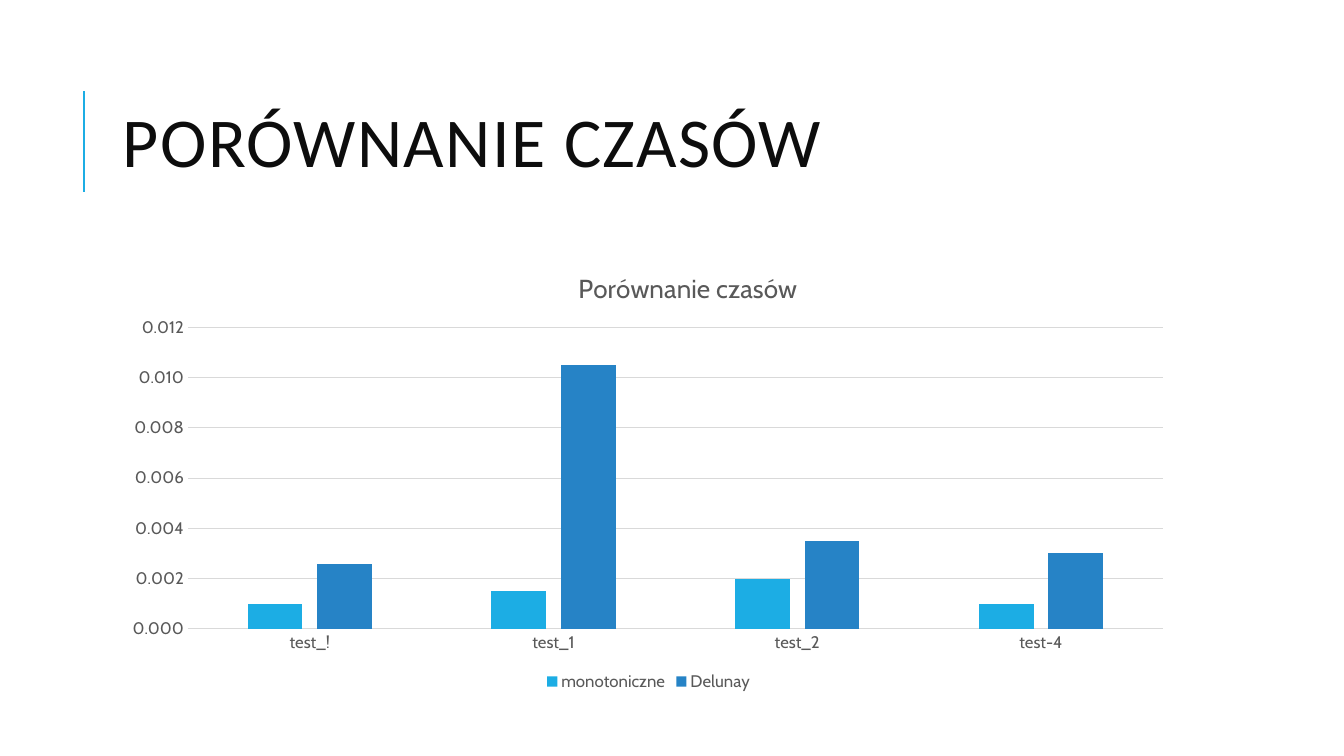
from lxml import etree
from pptx import Presentation
from pptx.chart.data import CategoryChartData
from pptx.dml.color import RGBColor
from pptx.enum.chart import XL_CHART_TYPE, XL_LEGEND_POSITION, XL_TICK_MARK
from pptx.enum.shapes import MSO_CONNECTOR
from pptx.enum.text import MSO_ANCHOR, MSO_AUTO_SIZE, PP_ALIGN
from pptx.oxml.ns import qn
from pptx.util import Pt

COLUMNS = XL_CHART_TYPE.COLUMN_CLUSTERED
LEGEND_BOTTOM = XL_LEGEND_POSITION.BOTTOM
NO_TICK = XL_TICK_MARK.NONE
STRAIGHT = MSO_CONNECTOR.STRAIGHT
MIDDLE = MSO_ANCHOR.MIDDLE
NO_AUTOFIT = MSO_AUTO_SIZE.NONE
LEFT = PP_ALIGN.LEFT

CYAN = RGBColor(0x1C, 0xAD, 0xE4)
BLUE = RGBColor(0x26, 0x83, 0xC6)
INK = RGBColor(0x0D, 0x0D, 0x0D)
GRAY = RGBColor(0x59, 0x59, 0x59)
GRID = RGBColor(0xD9, 0xD9, 0xD9)

TITLE_FONT = "Calibri"
CHART_FONT = "Cabin"
CONTENT_LEFT = Pt(80.64)
CONTENT_WIDTH = Pt(765.36)

CATEGORIES = ["test_!", "test_1", "test_2", "test-4"]
SERIES = [
    ("monotoniczne", [0.001, 0.0015, 0.002, 0.001], CYAN),
    ("Delunay", [0.0026, 0.0105, 0.0035, 0.003], BLUE),
]


def format_font(font, name, size, color):
    font.name = name
    font.size = Pt(size)
    font.bold = False
    font.color.rgb = color


def format_line(line, color, width):
    line.color.rgb = color
    line.width = Pt(width)


def add_accent_line(slide):
    connector = slide.shapes.add_connector(STRAIGHT, Pt(60), Pt(136.8), Pt(60), Pt(64.8))
    format_line(connector.line, CYAN, 1.5)
    etree.SubElement(connector._element.spPr, qn("a:effectLst"))


def set_title(slide, text):
    title = slide.shapes.title
    title.left, title.top = CONTENT_LEFT, Pt(46.08)
    title.width, title.height = CONTENT_WIDTH, Pt(118.08)
    text_frame = title.text_frame
    text_frame.text = text
    text_frame.word_wrap = True
    text_frame.auto_size = NO_AUTOFIT
    text_frame.vertical_anchor = MIDDLE
    paragraph = text_frame.paragraphs[0]
    paragraph.alignment = LEFT
    paragraph.line_spacing = 0.8
    run = paragraph.runs[0]
    format_font(run.font, TITLE_FONT, 50, INK)
    run._r.get_or_add_rPr().set("spc", "100")


def set_layout(element, previous_tag, **values):
    for existing in element.findall(qn("c:layout")):
        element.remove(existing)
    layout = etree.Element(qn("c:layout"))
    manual = etree.SubElement(layout, qn("c:manualLayout"))
    for name, value in values.items():
        etree.SubElement(manual, qn(f"c:{name}")).set("val", str(value))
    previous = element.find(qn(previous_tag)) if previous_tag else None
    if previous is None:
        element.insert(0, layout)
    else:
        previous.addnext(layout)


def set_chart_title(chart, text):
    chart.has_title = True
    title = chart.chart_title
    title.include_in_layout = False
    title.text_frame.text = text
    format_font(title.text_frame.paragraphs[0].runs[0].font, CHART_FONT, 18.6, GRAY)
    set_layout(title._element, "c:tx", xMode="edge", yMode="edge", x=0.43, y=0.03)


def format_axes(chart):
    for axis in (chart.category_axis, chart.value_axis):
        axis.major_tick_mark = NO_TICK
        axis.minor_tick_mark = NO_TICK
        format_font(axis.tick_labels.font, CHART_FONT, 12, GRAY)
    format_line(chart.category_axis.format.line, GRID, 0.75)
    value_axis = chart.value_axis
    value_axis.minimum_scale = 0
    value_axis.maximum_scale = 0.012
    value_axis.major_unit = 0.002
    value_axis.tick_labels.number_format = "0.000"
    value_axis.tick_labels.number_format_is_linked = False
    value_axis.format.line.fill.background()
    format_line(value_axis.major_gridlines.format.line, GRID, 0.75)


def add_time_chart(slide):
    data = CategoryChartData()
    data.categories = CATEGORIES
    for name, values, _ in SERIES:
        data.add_series(name, values)
    frame = slide.shapes.add_chart(
        COLUMNS, CONTENT_LEFT, Pt(180), CONTENT_WIDTH, Pt(316.8), data
    )
    chart = frame.chart
    chart.font.name = CHART_FONT
    chart.font.size = Pt(10)
    set_chart_title(chart, "Porównanie czasów")
    format_axes(chart)
    plot = chart.plots[0]
    plot.gap_width = 219
    plot.overlap = -27
    plot.vary_by_categories = False
    for series, (_, _, color) in zip(plot.series, SERIES):
        series.format.fill.solid()
        series.format.fill.fore_color.rgb = color
    chart.has_legend = True
    chart.legend.position = LEGEND_BOTTOM
    chart.legend.include_in_layout = False
    format_font(chart.legend.font, CHART_FONT, 12, GRAY)
    plot_area = chart._chartSpace.find(".//" + qn("c:plotArea"))
    set_layout(
        plot_area, None, layoutTarget="inner", xMode="edge", yMode="edge",
        x=0.07, y=0.17, w=0.91, h=0.68,
    )


def main():
    presentation = Presentation()
    presentation.slide_width = Pt(960)
    presentation.slide_height = Pt(540)
    slide = presentation.slides.add_slide(presentation.slide_layouts[5])
    add_accent_line(slide)
    set_title(slide, "PORÓWNANIE CZASÓW")
    add_time_chart(slide)
    presentation.save("out.pptx")


if __name__ == "__main__":
    main()
